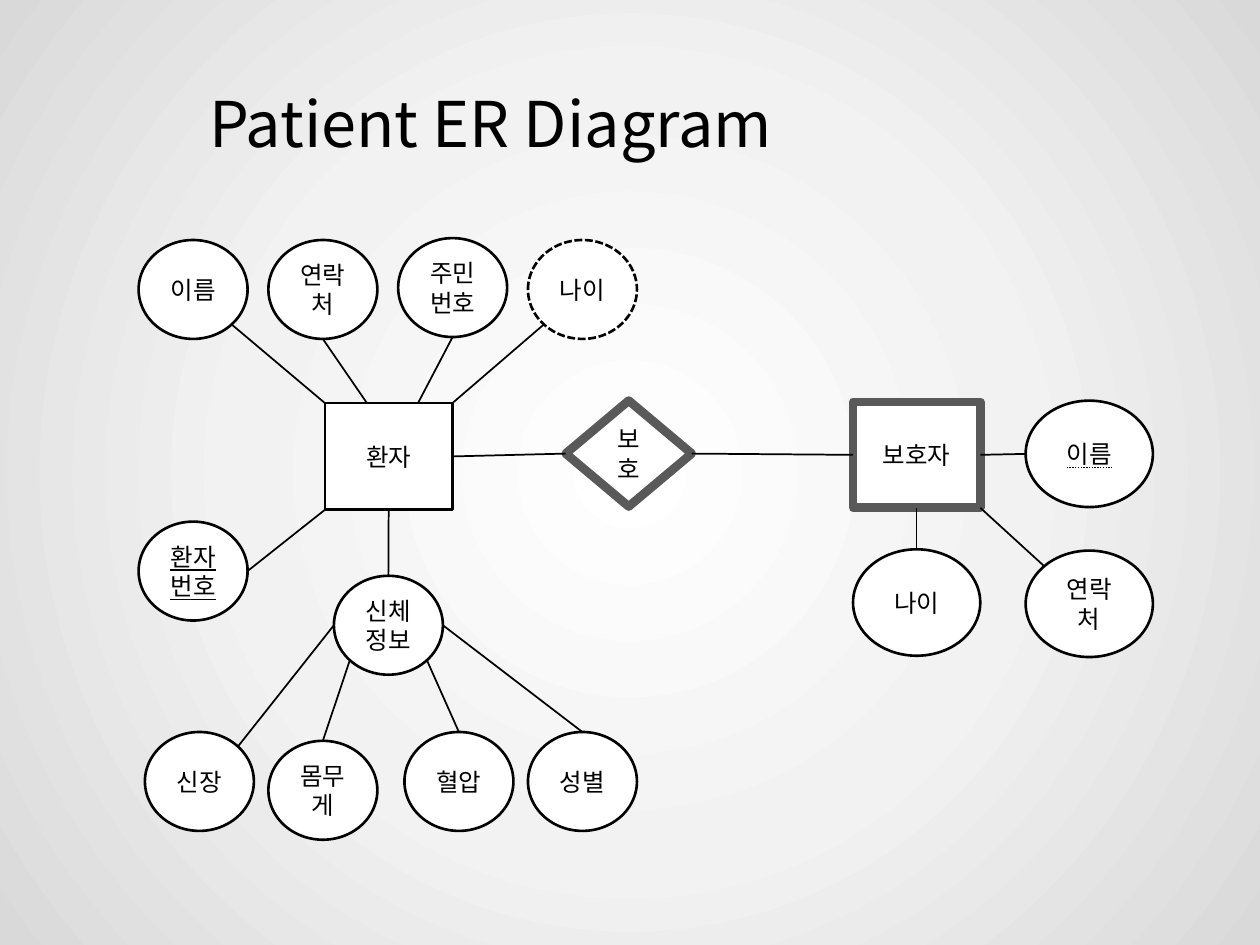
from lxml.etree import SubElement as Sub
from pptx import Presentation
from pptx.dml.color import RGBColor as Rgb
from pptx.enum.dml import MSO_LINE as Dash
from pptx.enum.shapes import MSO_CONNECTOR as Conn, MSO_SHAPE as Kind
from pptx.enum.text import (MSO_ANCHOR as Anchor, MSO_AUTO_SIZE as Fit,
                            MSO_UNDERLINE as Under, PP_ALIGN as Align)
from pptx.oxml.ns import qn
from pptx.util import Inches, Pt

CELL = 0.1  # inches per grid column and row
DIAG = 0.5 ** 0.5 / 2  # reach of a diagonal point on an ellipse
BLACK, GRAY, WHITE = "000000", "595959", "FFFFFF"
WAYS = {"n": (0, -1), "s": (0, 1), "w": (-1, 0), "e": (1, 0),
        "nw": (-1, -1), "ne": (1, -1), "sw": (-1, 1), "se": (1, 1)}


def paint(hue):
    """Turn a hex string into a colour."""
    return Rgb.from_string(hue)


def grid(num):
    """Turn grid cells into a length."""
    return Inches(num * CELL)


class Board:
    """Hold the style and the current slide."""

    font = "Noto Sans CJK KR"

    def __init__(self, deck):
        """Add a slide that has only a title."""
        self.slide = deck.slides.add_slide(deck.slide_layouts[5])

    def back(self, stops):
        """Fill the background with a round gradient from the centre."""
        self.slide.background.fill.gradient()
        grad = self.slide.element.find(".//" + qn("a:gradFill"))
        for node in list(grad):
            grad.remove(node)
        row = Sub(grad, qn("a:gsLst"))
        for pos, hue in stops:
            stop = Sub(row, qn("a:gs"), {"pos": str(pos * 1000)})
            Sub(stop, qn("a:srgbClr"), {"val": hue})
        ring = Sub(grad, qn("a:path"), {"path": "circle"})
        Sub(ring, qn("a:fillToRect"), dict.fromkeys("ltrb", "50000"))

    def say(self, para, text, size, under=None):
        """Add one run to a paragraph."""
        run = para.add_run()
        run.text = text
        font = run.font
        font.size, font.underline = Pt(size), under
        font.color.rgb = paint(BLACK)
        font.name = self.font
        Sub(run._r.get_or_add_rPr(), qn("a:ea"), {"typeface": self.font})

    def title(self, text, x, y, w, h):
        """Move and fill the title placeholder."""
        head = self.slide.shapes.title
        head.left, head.top, head.width, head.height = map(grid, (x, y, w, h))
        frame = head.text_frame
        frame.word_wrap, frame.auto_size = False, Fit.SHAPE_TO_FIT_TEXT
        frame.vertical_anchor = Anchor.TOP
        para = frame.paragraphs[0]
        para.alignment = Align.LEFT
        self.say(para, text, 36)

    def node(self, kind, text, x, y, w, h, hue=BLACK, wide=1.5,
             dash=None, under=None):
        """Draw a labelled shape."""
        shape = self.slide.shapes.add_shape(kind, *map(grid, (x, y, w, h)))
        shape.shadow.inherit = False
        shape.fill.solid()
        shape.fill.fore_color.rgb = paint(WHITE)
        shape.line.color.rgb = paint(hue)
        shape.line.width = Pt(wide)
        if dash:
            shape.line.dash_style = dash
        frame = shape.text_frame
        frame.word_wrap, frame.vertical_anchor = True, Anchor.MIDDLE
        para = frame.paragraphs[0]
        para.alignment = Align.CENTER
        self.say(para, text, 14, under)
        return shape

    def trait(self, text, x, y, w=8.65, h=7.85, **look):
        """Draw an attribute as an ellipse."""
        return self.node(Kind.OVAL, text, x, y, w, h, **look)

    def spot(self, shape, way):
        """Find a point on an outline by compass way or by shares."""
        if isinstance(way, str):
            dx, dy = WAYS[way]
            slant = shape.auto_shape_type == Kind.OVAL and dx and dy
            reach = DIAG if slant else 0.5
            way = 0.5 + dx * reach, 0.5 + dy * reach
        return (round(shape.left + way[0] * shape.width),
                round(shape.top + way[1] * shape.height))

    def link(self, one, out, two, into):
        """Draw a line between two shapes."""
        ends = self.spot(one, out) + self.spot(two, into)
        line = self.slide.shapes.add_connector(Conn.STRAIGHT, *ends)
        line.line.color.rgb = paint(BLACK)
        line.line.width = Pt(1)
        Sub(line._element.spPr, qn("a:effectLst"))


deck = Presentation()
deck.slide_width, deck.slide_height = grid(100), grid(75)
board = Board(deck)
board.back([(0, WHITE), (50, "F2F2F2"), (100, "D9D9D9")])
board.title("Patient ER Diagram", 15.6, 6.2, 48.8, 7.1)

# Entities and their relation
bold = dict(hue=GRAY, wide=5)
ward = board.node(Kind.RECTANGLE, "보호자", 67.7, 31.9, 10.1, 8.4, **bold)
sick = board.node(Kind.RECTANGLE, "환자", 25.8, 32, 10.1, 8.45)
care = board.node(Kind.DIAMOND, "보호", 44.9, 31.8, 10, 8.4, **bold)
board.link(sick, "e", care, "w")
board.link(care, "e", ward, "w")

# Patient attributes
body = board.trait("신체정보", 26.5, 45.7)
code = board.trait("환자번호", 11, 41.4, under=True)
board.link(sick, "s", body, "n")
board.link(sick, "sw", code, "e")
for text, x, y, dash, out, into in (
        ("이름", 11, 19.05, None, "se", "nw"),
        ("연락처", 21.3, 19.05, None, "s", (0.33, 0)),
        ("주민번호", 31.6, 18.9, None, "s", (0.73, 0)),
        ("나이", 41.9, 19.05, Dash.SQUARE_DOT, "sw", "ne")):
    board.link(board.trait(text, x, y, dash=dash), out, sick, into)

# Parts of the body data
for text, x, y, out, into in (
        ("신장", 11.5, 58.1, "w", "ne"), ("몸무게", 21.3, 58.8, "sw", "n"),
        ("혈압", 32.1, 58.1, "se", "n"), ("성별", 41.9, 58.1, "e", "n")):
    board.link(body, out, board.trait(text, x, y), into)

# Guardian attributes
for text, x, y, under, out, into in (
        ("이름", 81.4, 31.8, Under.DOTTED_LINE, "e", "w"),
        ("나이", 67.7, 43.6, None, "s", "n"),
        ("연락처", 81.4, 43.7, None, "se", "nw")):
    oval = board.trait(text, x, y, 10.1, 8.45, under=under)
    board.link(ward, out, oval, into)

deck.save("out.pptx")
